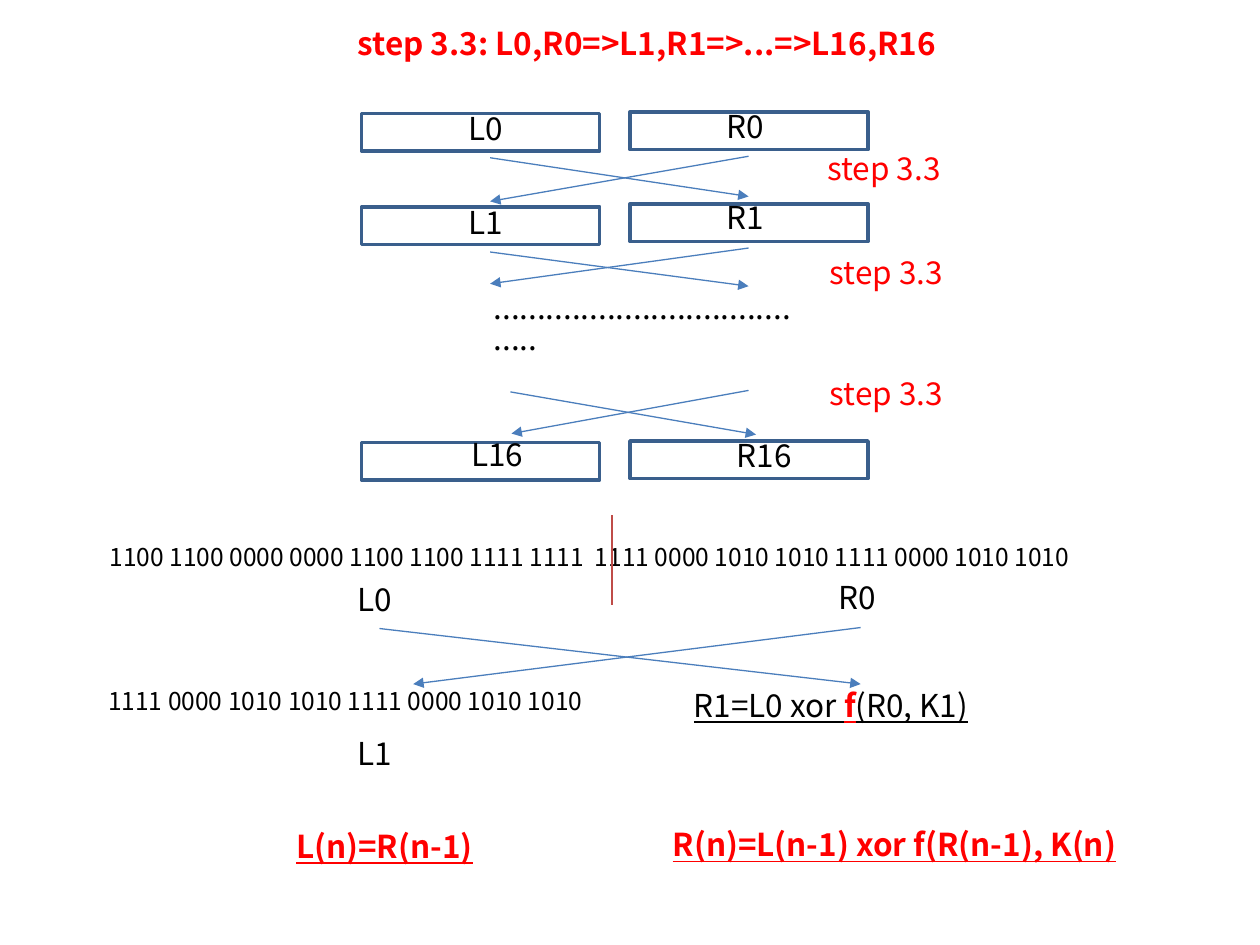
"""Build the slide on the sixteen Feistel rounds from L0,R0 to L16,R16."""
from lxml import etree
from pptx import Presentation
from pptx.dml.color import RGBColor
from pptx.enum.shapes import MSO_CONNECTOR as Connector, MSO_SHAPE as Shape
from pptx.enum.text import MSO_AUTO_SIZE as AutoSize
from pptx.oxml.ns import qn
from pptx.util import Cm, Pt

COLORS = {"red": "FF0000", "black": "000000", "box": "3A5F8C", "arrow": "4B7EBC", "divider": "BF4C48"}
FONT = "Noto Sans CJK KR"
LEFT_BITS = "1100 1100 0000 0000 1100 1100 1111 1111"
RIGHT_BITS = "1111 0000 1010 1010 1111 0000 1010 1010"

presentation = Presentation()
presentation.slide_width, presentation.slide_height = Cm(25.4), Cm(19.05)
slide = presentation.slides.add_slide(presentation.slide_layouts[6])


def add_text(text, left, top, width, height=1.03, size=18, color="black", bold=False,
             underline=False, accent=None, spacing=None, inset=0.03):
    box = slide.shapes.add_textbox(Cm(left), Cm(top), Cm(width), Cm(height))
    frame = box.text_frame
    frame.word_wrap = True
    frame.auto_size = AutoSize.SHAPE_TO_FIT_TEXT
    frame.margin_top = Cm(inset)
    paragraph = frame.paragraphs[0]
    if spacing:
        paragraph.line_spacing = spacing
    before, mark, after = text.partition(accent) if accent else (text, "", "")
    for part in filter(None, (before, mark, after)):
        run = paragraph.add_run()
        run.text = part
        run.font.name = FONT
        run.font.size = Pt(size)
        run.font.bold = bold or part == accent
        run.font.underline = underline
        run.font.color.rgb = RGBColor.from_string(COLORS["red" if part == accent else color])


def add_line(start_x, start_y, end_x, end_y, color="arrow", arrow=True):
    line = slide.shapes.add_connector(Connector.STRAIGHT, Cm(start_x), Cm(start_y), Cm(end_x), Cm(end_y))
    line.line.color.rgb = RGBColor.from_string(COLORS[color])
    line.line.width = Pt(0.75)
    if arrow:
        etree.SubElement(line.line._get_or_add_ln(), qn("a:tailEnd"), type="triangle")
    etree.SubElement(line._element.spPr, qn("a:effectLst"))


add_text("step 3.3: L0,R0=>L1,R1=>...=>L16,R16", 6.96, 0.46, 13.11, color="red", bold=True)

halves = [
    ("L0", 7.29, 2.29, 9.19, 2.16, 1.37), ("R0", 12.7, 2.26, 14.4, 2.13, 1.37),
    ("L1", 7.29, 4.17, 9.19, 4.06, 1.37), ("R1", 12.7, 4.11, 14.4, 3.96, 1.37),
    ("L16", 7.29, 8.92, 9.25, 8.74, 2.11), ("R16", 12.7, 8.89, 14.6, 8.76, 2.11),
]
for label, box_left, box_top, text_left, text_top, text_width in halves:
    box = slide.shapes.add_shape(Shape.RECTANGLE, Cm(box_left), Cm(box_top), Cm(4.8), Cm(0.76))
    box.shadow.inherit = False
    box.fill.background()
    box.line.color.rgb = RGBColor.from_string(COLORS["box"])
    box.line.width = Pt(2)
    add_text(label, text_left, text_top, text_width)

for left, top in [(16.43, 2.97), (16.48, 5.08), (16.48, 7.52)]:
    add_text("step 3.3", left, top, 3.1, color="red")
add_text("." * 39, 9.7, 5.77, 6.55, spacing=0.82, inset=0.18)

arrows = [
    (9.88, 3.18, 15.09, 3.96), (15.09, 3.15, 9.88, 4.06),
    (9.88, 5.08, 15.09, 5.77), (15.09, 5, 9.88, 5.72),
    (10.29, 7.9, 15.24, 8.76), (15.09, 7.87, 10.31, 8.74),
    (7.65, 12.67, 17.35, 13.79), (17.35, 12.65, 8.33, 13.79),
]
for arrow in arrows:
    add_line(*arrow)

add_text(f"{LEFT_BITS}  {RIGHT_BITS}", 1.96, 10.9, 21.01, 0.86, size=14)
add_line(12.34, 10.39, 12.34, 12.19, color="divider", arrow=False)
for label, left, top in [("L0", 6.96, 11.66), ("R0", 16.66, 11.63), ("L1", 6.96, 14.76)]:
    add_text(label, left, top, 1.37)
add_text(RIGHT_BITS, 1.93, 13.79, 10.69, 0.86, size=14)
add_text("R1=L0 xor f(R0, K1)", 13.74, 13.79, 7.49, underline=True, accent="f")

rules = [("L(n)=R(n-1)", 5.72, 16.64, 8.79), ("R(n)=L(n-1) xor f(R(n-1), K(n)", 13.31, 16.61, 9.73)]
for rule in rules:
    add_text(*rule, color="red", bold=True, underline=True)

presentation.save("out.pptx")
